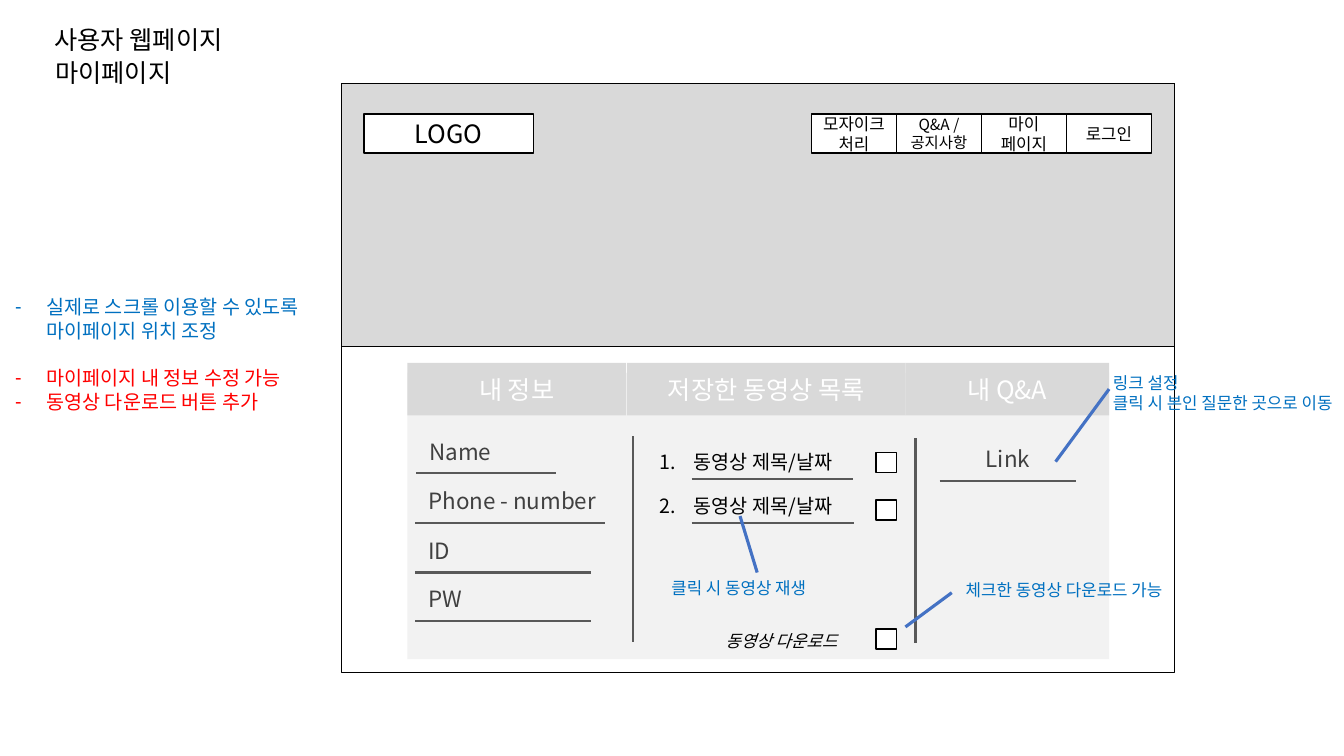
import pptx
import pptx.util
import pptx.enum.shapes
import pptx.enum.text
import pptx.oxml
import pptx.oxml.ns
import lxml.etree

Inches, Pt = pptx.util.Inches, pptx.util.Pt
RGB = pptx.dml.color.RGBColor.from_string
qn = pptx.oxml.ns.qn
ALIGN = pptx.enum.text.PP_ALIGN
ANCHOR = pptx.enum.text.MSO_ANCHOR
FONT = "Noto Sans CJK KR"
COLORS = {
    "black": "000000", "white": "FFFFFF", "header": "D9D9D9", "panel": "F2F2F2",
    "rule": "595959", "field": "404040", "note": "0070C0", "pointer": "4472C4",
    "red": "FF0000",
}

prs = pptx.Presentation()
prs.slide_width, prs.slide_height = Inches(13.33), Inches(7.5)
slide = prs.slides.add_slide(prs.slide_layouts[1])
shapes = slide.shapes


def write(sp, lines, size, color="black", align=ALIGN.LEFT, anchor=ANCHOR.TOP):
    tf = sp.text_frame
    tf.word_wrap = True
    tf.auto_size = pptx.enum.text.MSO_AUTO_SIZE.NONE
    tf.vertical_anchor = anchor
    tf.text = "\n".join(lines)
    for p in tf.paragraphs:
        p.alignment = align
        p.line_spacing = 1.0
        p.space_before = Pt(0)
        p.font.name = FONT
        p.font.size = Pt(size)
        p.font.color.rgb = RGB(COLORS[color])
        props = p._p.pPr.find(qn("a:defRPr"))
        lxml.etree.SubElement(props, qn("a:ea"), typeface=FONT)
    return tf


def rect(x, y, w, h, fill=None, line=None):
    sp = shapes.add_shape(pptx.enum.shapes.MSO_SHAPE.RECTANGLE,
                          Inches(x), Inches(y), Inches(w), Inches(h))
    sp.shadow.inherit = False
    if fill:
        sp.fill.solid()
        sp.fill.fore_color.rgb = RGB(COLORS[fill])
    else:
        sp.fill.background()
    if line:
        sp.line.color.rgb = RGB(COLORS[line])
        sp.line.width = Pt(1)
    else:
        sp.line.fill.background()
    return sp


title = shapes.title
title.left, title.top, title.width, title.height = map(Inches, (0.44, 0.19, 2.01, 0.4))
write(title, ["사용자 웹페이지"], 18)

notes = slide.placeholders[1]
notes.left, notes.top, notes.width, notes.height = map(Inches, (0.05, 2.88, 3.27, 1.28))
tf = write(notes, ["실제로 스크롤 이용할 수 있도록 마이페이지 위치 조정",
                   "마이페이지 내 정보 수정 가능", "동영상 다운로드 버튼 추가"], 14, "red")
tf.paragraphs[0].font.color.rgb = RGB(COLORS["note"])
tf.paragraphs[1].space_before = Pt(17)
for p in tf.paragraphs:
    pPr = p._p.pPr
    pPr.set("marL", str(Inches(0.31)))
    pPr.set("indent", str(-Inches(0.31)))
    bullet = lxml.etree.Element(qn("a:buChar"), char="-")
    pPr.find(qn("a:defRPr")).addprevious(bullet)

rect(3.39, 0.83, 8.26, 2.61, "header", "black")
rect(3.39, 0.83, 8.26, 5.84, line="black")
logo = rect(3.61, 1.13, 1.68, 0.39, "white", "black")
write(logo, ["LOGO"], 18, align=ALIGN.CENTER, anchor=ANCHOR.MIDDLE)

menu = [(["모자이크 처리"], 12), (["Q&A /", "공지사항"], 11),
        (["마이", "페이지"], 12), (["로그인"], 12)]
for i, (lines, size) in enumerate(menu):
    button = rect(8.05 + i * 0.843, 1.13, 0.84, 0.39, "white", "black")
    write(button, lines, size, align=ALIGN.CENTER, anchor=ANCHOR.MIDDLE)

rect(4.04, 3.7, 6.96, 2.84, "panel")
for x, w, heading in [(4.04, 2.17, "내 정보"), (6.22, 2.76, "저장한 동영상 목록"),
                      (8.98, 2.02, "내 Q&A")]:
    write(rect(x, 3.6, w, 0.52, "header"), [heading], 18, "white",
          ALIGN.CENTER, ANCHOR.MIDDLE)

download = rect(6.45, 6.19, 2.6, 0.33, "panel")
tf = write(download, ["동영상 다운로드"], 12, align=ALIGN.CENTER, anchor=ANCHOR.MIDDLE)
tf.paragraphs[0].font.italic = True
for y in (4.49, 4.96, 6.24):
    rect(8.69, y, 0.2, 0.2, "white", "black")

texts = [
    (0.45, 0.52, 1.8, 0.4, ["마이페이지"], 18, "black"),
    (4.16, 4.3, 0.93, 0.37, ["Name"], 16, "field"),
    (4.15, 4.78, 2.19, 0.37, ["Phone - number"], 16, "field"),
    (4.15, 5.28, 0.93, 0.37, ["ID"], 16, "field"),
    (4.15, 5.76, 0.93, 0.37, ["PW"], 16, "field"),
    (9.68, 4.37, 0.69, 0.37, ["Link"], 16, "field"),
    (10.94, 3.65, 2.48, 0.5, ["링크 설정", "클릭 시 본인 질문한 곳으로 이동"], 12, "note"),
    (6.56, 5.68, 2.48, 0.3, ["클릭 시 동영상 재생"], 12, "note"),
    (9.48, 5.7, 2.48, 0.3, ["체크한 동영상 다운로드 가능"], 12, "note"),
]
for x, y, w, h, lines, size, color in texts:
    write(shapes.add_textbox(Inches(x), Inches(y), Inches(w), Inches(h)), lines, size, color)

for number, y in enumerate((4.41, 4.85), 1):
    video = shapes.add_textbox(Inches(6.44), Inches(y), Inches(2.34), Inches(0.34))
    pPr = write(video, ["동영상 제목/날짜"], 14).paragraphs[0]._p.pPr
    pPr.set("marL", str(Inches(0.34)))
    pPr.set("indent", str(-Inches(0.34)))
    bullet = lxml.etree.Element(qn("a:buAutoNum"), type="arabicPeriod", startAt=str(number))
    pPr.find(qn("a:defRPr")).addprevious(bullet)

rules = [(6.86, 4.75, 8.46, 4.75), (6.86, 5.19, 8.47, 5.19), (9.32, 4.77, 10.67, 4.77),
         (4.13, 4.69, 5.51, 4.69), (4.12, 5.19, 6, 5.19), (4.12, 5.68, 5.86, 5.68),
         (4.12, 6.16, 5.86, 6.16), (6.28, 4.33, 6.28, 6.37), (9.08, 4.35, 9.08, 6.38)]
pointers = [(11, 3.86, 10.47, 4.58), (7.34, 5.12, 7.51, 5.68), (9.44, 5.88, 8.98, 6.22)]
for group, color, width in [(rules, "rule", 1.5), (pointers, "pointer", 2.25)]:
    for ends in group:
        line = shapes.add_connector(pptx.enum.shapes.MSO_CONNECTOR.STRAIGHT, *map(Inches, ends))
        line.line.color.rgb = RGB(COLORS[color])
        line.line.width = Pt(width)
        lxml.etree.SubElement(line._element.spPr, qn("a:effectLst"))

prs.save("out.pptx")
